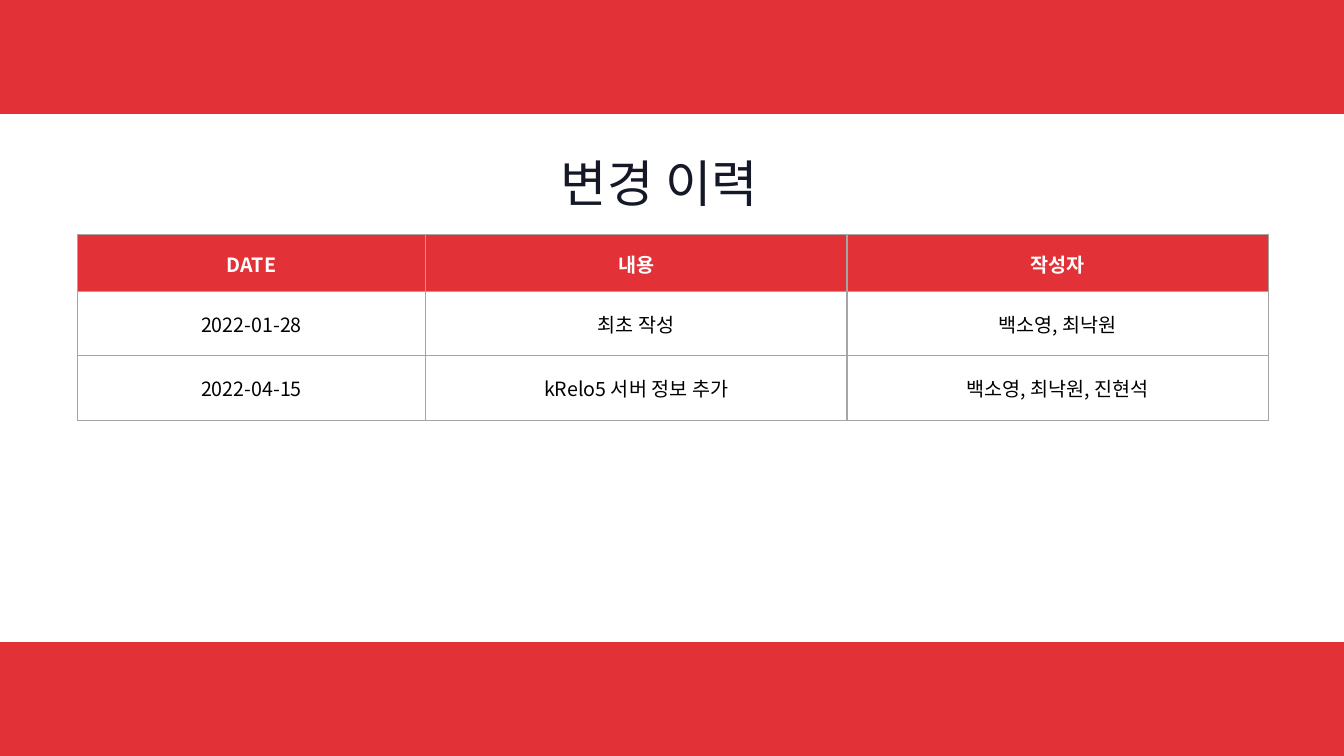
import pptx
import pptx.util
import pptx.dml.color
import pptx.enum.shapes
import pptx.enum.text
import pptx.oxml.ns
import lxml.etree

Inches = pptx.util.Inches
qn = pptx.oxml.ns.qn
FONT = "Noto Sans CJK KR"
COLORS = {"red": "E23137", "grey": "A5A5A5", "white": "FFFFFF",
          "black": "000000", "navy": "151826"}


def rgb(name):
    return pptx.dml.color.RGBColor.from_string(COLORS[name])


def write(paragraph, text, size, color, bold=False):
    paragraph.alignment = pptx.enum.text.PP_ALIGN.CENTER
    run = paragraph.add_run()
    run.text = text
    run.font.color.rgb = rgb(color)
    font_format = {"name": FONT, "size": pptx.util.Pt(size), "bold": bold}
    for key, value in font_format.items():
        setattr(run.font, key, value)
    # Korean glyphs take the East Asian typeface
    lxml.etree.SubElement(run.font._element, qn("a:ea"), typeface=FONT)


deck = pptx.Presentation()
deck.slide_width, deck.slide_height = Inches(13.33), Inches(7.5)
slide = deck.slides.add_slide(deck.slide_layouts[6])

# Bottom and top bands
band_height = 1.13
for band_top in (7.5 - band_height, 0):
    band = slide.shapes.add_shape(
        pptx.enum.shapes.MSO_SHAPE.RECTANGLE,
        0, Inches(band_top), deck.slide_width, Inches(band_height))
    band.shadow.inherit = False
    band.fill.solid()
    band.fill.fore_color.rgb = rgb("red")
    band.line.fill.background()

# Change history table
history_rows = [
    ["DATE", "내용", "작성자"],
    ["2022-01-28", "최초 작성", "백소영, 최낙원"],
    ["2022-04-15", "kRelo5 서버 정보 추가", "백소영, 최낙원, 진현석"],
]
column_widths = [3.45, 4.18, 4.18]
row_heights = [0.56, 0.64, 0.64]
history = slide.shapes.add_table(
    len(row_heights), len(column_widths), Inches(0.77), Inches(2.33),
    Inches(sum(column_widths)), Inches(sum(row_heights))).table
for column, width in zip(history.columns, column_widths):
    column.width = Inches(width)
for row, height in zip(history.rows, row_heights):
    row.height = Inches(height)

for row_index, entries in enumerate(history_rows):
    is_header = row_index == 0
    margin = Inches(0.01 if is_header else 0.08)
    cell_format = {
        "margin_left": margin, "margin_right": margin, "margin_top": margin,
        "margin_bottom": 0 if is_header else margin,
        "vertical_anchor": pptx.enum.text.MSO_ANCHOR.MIDDLE,
    }
    for column_index, entry in enumerate(entries):
        cell = history.cell(row_index, column_index)
        for key, value in cell_format.items():
            setattr(cell, key, value)
        write(cell.text_frame.paragraphs[0], entry, 14,
              "white" if is_header else "black", is_header)
        # Borders come before the fill in the cell properties
        for side in ("a:lnL", "a:lnR", "a:lnT", "a:lnB"):
            border = lxml.etree.SubElement(
                cell._tc.get_or_add_tcPr(), qn(side), w=str(pptx.util.Pt(1)))
            border_fill = lxml.etree.SubElement(border, qn("a:solidFill"))
            lxml.etree.SubElement(border_fill, qn("a:srgbClr"), val=COLORS["grey"])
        if is_header:
            cell.fill.solid()
            cell.fill.fore_color.rgb = rgb("red")
        else:
            cell.fill.background()

# Title
title = slide.shapes.add_textbox(
    Inches(4.64), Inches(1.49), Inches(3.8), Inches(0.65)).text_frame
title_format = {"word_wrap": True}
for side in ("left", "right", "top", "bottom"):
    title_format["margin_" + side] = Inches(0.02)
for key, value in title_format.items():
    setattr(title, key, value)
write(title.paragraphs[0], "변경 이력", 36, "navy")

deck.save("out.pptx")
